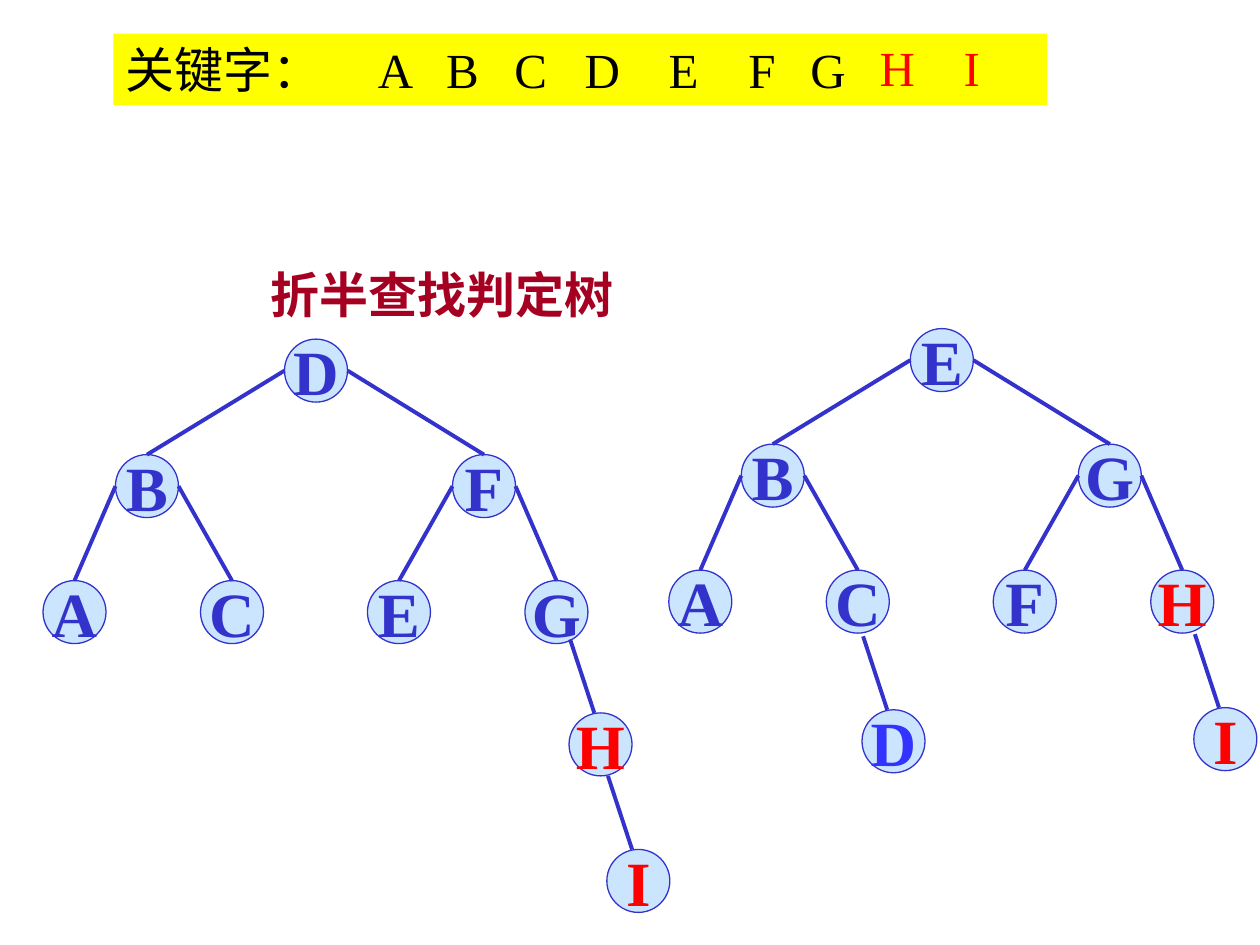
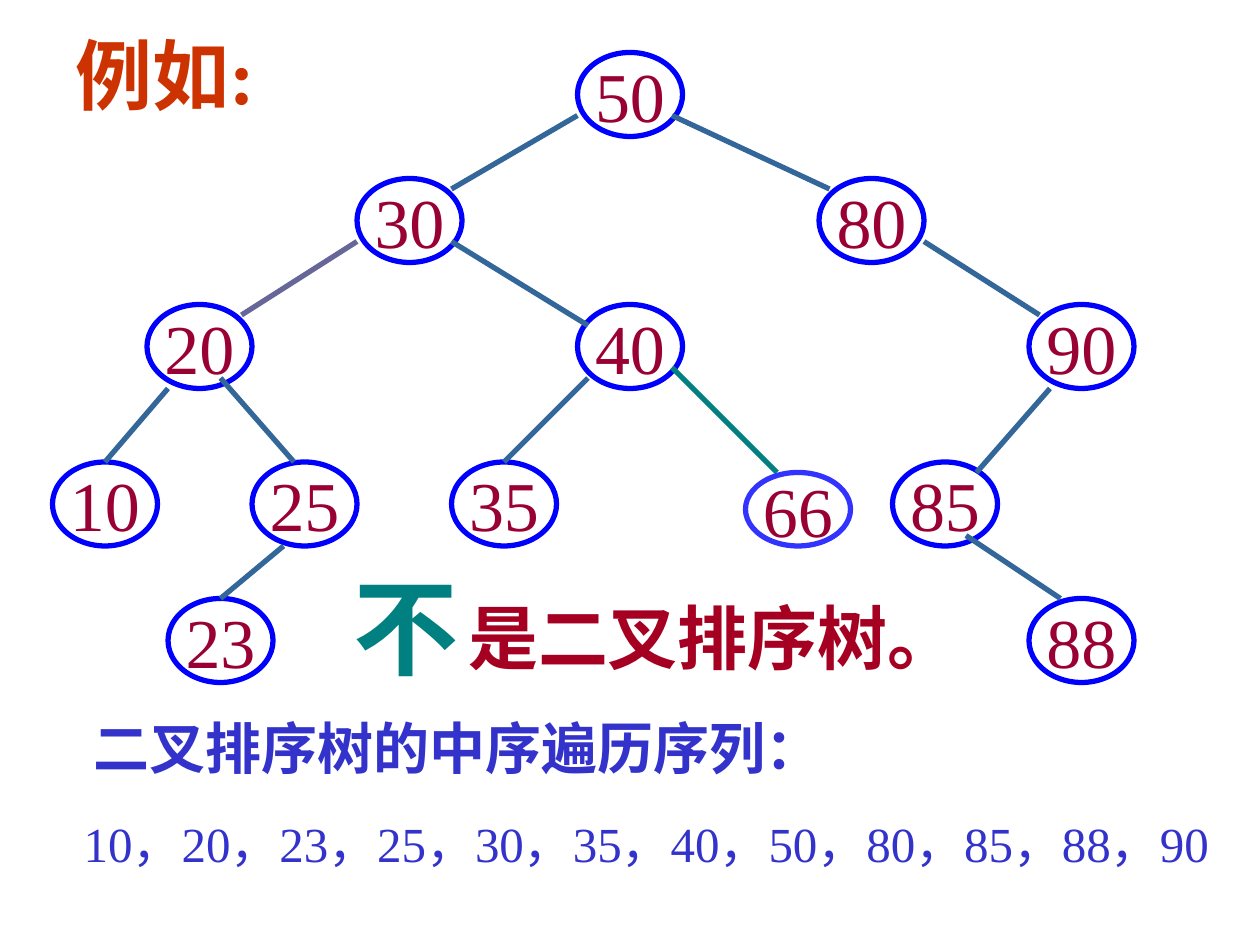
"""Two slides on search trees: binary-search decision trees and a tree that is not a binary sort tree."""
from lxml import etree
from pptx import Presentation
from pptx.dml.color import RGBColor
from pptx.enum.shapes import MSO_CONNECTOR, MSO_SHAPE
from pptx.enum.text import MSO_ANCHOR, PP_ALIGN
from pptx.oxml.ns import qn
from pptx.util import Pt

PX = 7620
FONT = "Times New Roman"
OVAL, RECT, STRAIGHT = MSO_SHAPE.OVAL, MSO_SHAPE.RECTANGLE, MSO_CONNECTOR.STRAIGHT
TOP, MIDDLE = MSO_ANCHOR.TOP, MSO_ANCHOR.MIDDLE
LEFT, CENTER = PP_ALIGN.LEFT, PP_ALIGN.CENTER
COLORS = {
    "indigo": "3333CC", "violet": "3333FF", "sky": "99CCFF", "red": "FF0000",
    "crimson": "A50021", "maroon": "990033", "orange": "CC3300", "blue": "0000FF",
    "steel": "336699", "slate": "666699", "teal": "008080",
    "yellow": "FFFF00", "white": "FFFFFF", "black": "000000",
}
RGB = {name: RGBColor.from_string(value) for name, value in COLORS.items()}


def add_text(s, box, text, size, color, bold=False, wrap=False,
             shape=None, fill=None, line=None, width=1, tabs=()):
    """Add a text box, or a preset shape holding text, and return it."""
    x, y, w, h = (v * PX for v in box)
    if shape is None:
        sp = s.shapes.add_textbox(x, y, w, h)
    else:
        sp = s.shapes.add_shape(shape, x, y, w, h)
        sp.shadow.inherit = False
        if fill:
            sp.fill.solid()
            sp.fill.fore_color.rgb = RGB[fill]
        else:
            sp.fill.background()
        if line:
            sp.line.color.rgb = RGB[line]
            sp.line.width = Pt(width)
        else:
            sp.line.fill.background()
    tf = sp.text_frame
    tf.word_wrap = wrap
    tf.vertical_anchor = MIDDLE if shape == OVAL else TOP
    p = tf.paragraphs[0]
    p.alignment = CENTER if shape == OVAL else LEFT
    if tabs:
        stops = etree.SubElement(p._p.get_or_add_pPr(), qn("a:tabLst"))
        for pos in tabs:
            etree.SubElement(stops, qn("a:tab"), pos=str(pos * PX), algn="l")
    p.font.name, p.font.size, p.font.bold = FONT, Pt(size), bold
    p.font.color.rgb = RGB[color]
    p.add_run().text = text
    return sp


def add_line(s, x1, y1, x2, y2, color, width):
    """Add a straight line without shadow."""
    c = s.shapes.add_connector(STRAIGHT, x1 * PX, y1 * PX, x2 * PX, y2 * PX)
    c.line.color.rgb = RGB[color]
    c.line.width = Pt(width)
    etree.SubElement(c._element.spPr, qn("a:effectLst"))


prs = Presentation()
prs.slide_width, prs.slide_height = 1200 * PX, 900 * PX
blank = prs.slide_layouts[6]

s = prs.slides.add_slide(blank)
add_text(s, (246, 246, 350, 68), "折半查找判定树", 28, "crimson", bold=True)
add_text(s, (108, 32, 889, 68), "关键字：\tA\tB\tC\tD\tE\tF\tG", 28, "black", wrap=True,
         shape=RECT, fill="yellow", tabs=(240, 305, 370, 437, 517, 593, 652)) 
for key, x in (("H", 826), ("I", 906)):
    add_text(s, (x, 30, 90, 68), key, 28, "red", wrap=True)

NODE = 60
HALF = NODE // 2
SPOTS = [(271, 323), (110, 433), (431, 433), (41, 553), (191, 553), (350, 553), (500, 553)]
TREES = [
    (0, 0, "DBFACEG", [("H", 542, 679, "red"), ("I", 578, 809, "red")]),
    (596, -10, "EBGACFH", [("D", 225, 686, "violet"), ("I", 541, 684, "red")]),
]
for dx, dy, keys, extras in TREES:
    spots = [(x + dx, y + dy) for x, y in SPOTS]
    nodes = [(key, x, y, "red" if key == "H" else "indigo")
             for key, (x, y) in zip(keys, spots)]
    extras = [(key, x + dx, y + dy, color) for key, x, y, color in extras]
    for key, x, y, color in nodes + extras:
        sp = add_text(s, (x, y, NODE, NODE), key, 36, color, bold=True,
                      shape=OVAL, fill="sky", line="indigo", width=0.75)
        rgb = sp._element.spPr.find(qn("a:solidFill"))[0]
        etree.SubElement(rgb, qn("a:alpha"), val="50000")
    for child in range(1, len(spots)):
        px, py = spots[(child - 1) // 2]
        cx, cy = spots[child]
        side = 0 if child % 2 else NODE
        add_line(s, px + side, py + HALF, cx + HALF, cy, "indigo", 2.25)
    for key, x, y, color in extras:
        add_line(s, x + 1, y - 70, x + 24, y, "indigo", 2.25)

s = prs.slides.add_slide(blank)
NUMBERS = [
    (50, 550, 50), (30, 340, 170), (80, 780, 170), (20, 140, 290), (40, 550, 290),
    (90, 980, 290), (10, 50, 440), (25, 240, 440), (35, 430, 440), (85, 850, 440),
    (23, 160, 570), (88, 980, 570),
]
EDGES = [
    (550, 110, 430, 180, "steel"), (340, 230, 230, 300, "slate"),
    (640, 110, 790, 180, "steel"), (430, 230, 560, 310, "steel"),
    (160, 370, 100, 440, "steel"), (210, 360, 280, 440, "steel"),
    (270, 520, 210, 570, "steel"), (560, 360, 480, 440, "steel"),
    (880, 230, 990, 300, "steel"), (1000, 370, 930, 450, "steel"),
    (920, 510, 1010, 570, "steel"), (640, 350, 740, 450, "teal"),
]
for number, x, y in NUMBERS:
    add_text(s, (x, y, 100, 80), str(number), 40, "maroon", shape=OVAL, line="blue", width=3)
for edge in EDGES:
    add_line(s, *edge, 3)
add_text(s, (710, 450, 100, 70), "66", 40, "maroon", shape=OVAL,
         fill="white", line="violet", width=3)

add_text(s, (60, 20, 197, 100), "例如:", 44, "orange", bold=True, wrap=True)
add_text(s, (434, 560, 496, 92), "是二叉排序树。", 40, "crimson", bold=True)
add_text(s, (325, 530, 125, 132), "不", 60, "teal", bold=True)
add_text(s, (77, 674, 1000, 76), "二叉排序树的中序遍历序列：", 32, "indigo", bold=True, wrap=True)
add_text(s, (68, 769, 1114, 68), "10，20，23，25，30，35，40，50，80，85，88，90", 28, "indigo", wrap=True)

prs.save("out.pptx")
